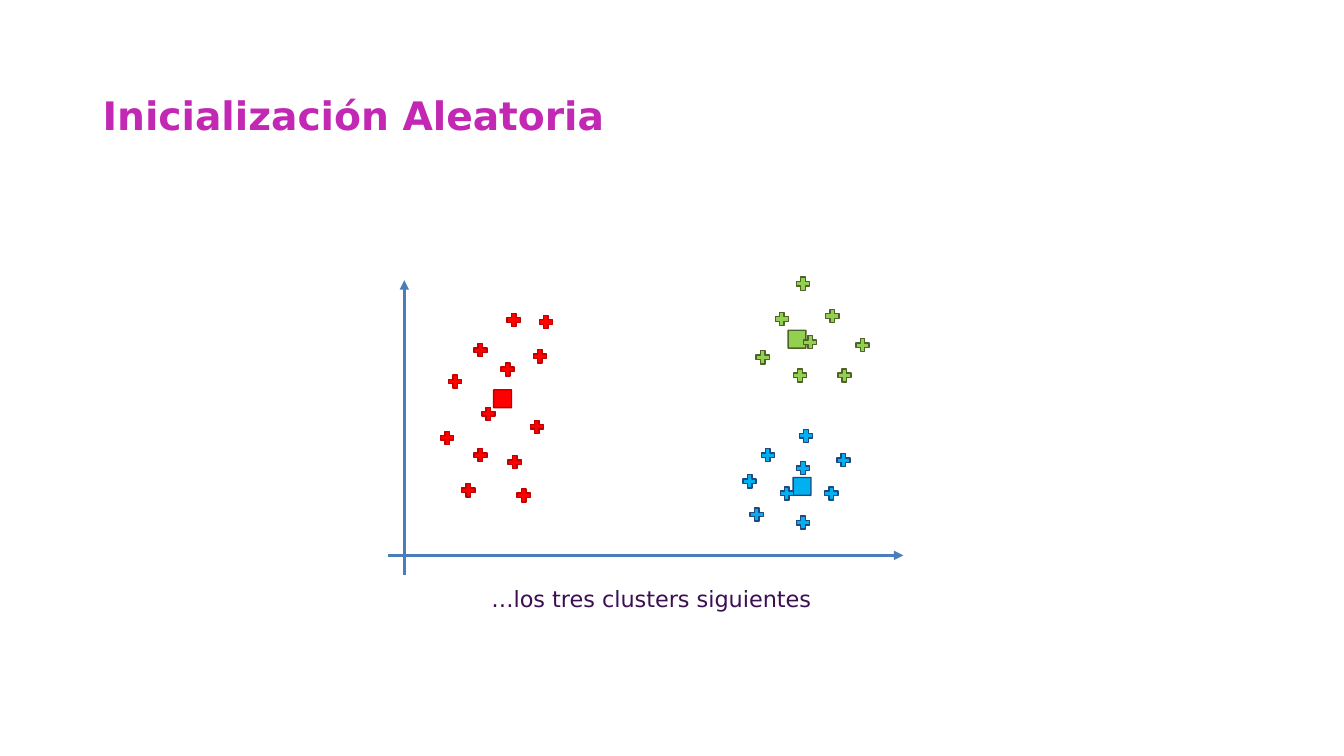
from lxml import etree
from pptx import Presentation
from pptx.dml.color import RGBColor
from pptx.enum import shapes, text
from pptx.oxml import ns
from pptx.util import Inches, Pt

FONT = "DejaVu Sans"
MAGENTA = RGBColor(0xC2, 0x28, 0xB4)
PURPLE = RGBColor(0x3C, 0x0F, 0x53)
AXIS_BLUE = RGBColor(0x4A, 0x7E, 0xBB)
RED, DARK_RED = RGBColor(0xFF, 0, 0), RGBColor(0xC0, 0, 0)
SKY, NAVY = RGBColor(0, 0xB0, 0xF0), RGBColor(0x1F, 0x49, 0x7D)
GREEN, DARK_GREEN = RGBColor(0x92, 0xD0, 0x50), RGBColor(0x4F, 0x62, 0x28)

CENTROID_SIZE = 0.25
POINT_SIZE = 0.13

# Fill, outline, centroid and data points (left, top) of each cluster
CLUSTERS = [
    (RED, DARK_RED, (4.86, 3.83), [
        (5.26, 4.17), (4.7, 4.45), (5.13, 4.85), (4.58, 4.8), (4.37, 4.28),
        (4.78, 4.04), (5.04, 4.52), (4.45, 3.72), (4.97, 3.6), (4.7, 3.41),
        (5.29, 3.47), (5.35, 3.13), (5.03, 3.11)]),
    (SKY, NAVY, (7.83, 4.7), [
        (7.37, 4.71), (7.55, 4.45), (7.74, 4.83), (7.44, 5.04), (7.9, 5.12),
        (8.18, 4.83), (7.9, 4.58), (8.3, 4.5), (7.93, 4.26)]),
    (GREEN, DARK_GREEN, (7.78, 3.24), [
        (7.9, 2.75), (8.19, 3.07), (7.69, 3.1), (7.97, 3.33), (8.49, 3.36),
        (7.87, 3.66), (8.31, 3.66), (7.5, 3.48)]),
]

deck = Presentation()
deck.slide_width, deck.slide_height = Inches(13.33), Inches(7.5)
page = deck.slides.add_slide(deck.slide_layouts[6])


def add_marker(kind, position, size, fill, outline):
    left, top = position
    marker = page.shapes.add_shape(
        kind, Inches(left), Inches(top), Inches(size), Inches(size))
    marker.shadow.inherit = False
    marker.fill.solid()
    marker.fill.fore_color.rgb = fill
    marker.line.color.rgb = outline
    marker.line.width = Pt(1)
    return marker


def add_text(words, left, top, width, height, size, color):
    box = page.shapes.add_textbox(
        Inches(left), Inches(top), Inches(width), Inches(height))
    box.text_frame.word_wrap = True
    box.text_frame.text = words
    font = box.text_frame.paragraphs[0].runs[0].font
    font.name, font.size, font.color.rgb = FONT, Pt(size), color
    return box.text_frame


title = add_text("Inicialización Aleatoria", 0.92, 0.71, 11.5, 0.91, 28, MAGENTA)
title.vertical_anchor = text.MSO_ANCHOR.MIDDLE
title.paragraphs[0].line_spacing = 0.9
title.paragraphs[0].runs[0].font.bold = True

for fill, outline, centroid, points in CLUSTERS:
    square = add_marker(
        shapes.MSO_SHAPE.DIAMOND, centroid, CENTROID_SIZE, fill, outline)
    square.rotation = 315

for start_x, start_y, end_x, end_y in [(4.01, 5.7, 4.01, 2.78),
                                       (3.85, 5.51, 8.96, 5.51)]:
    axis = page.shapes.add_connector(
        shapes.MSO_CONNECTOR.STRAIGHT,
        Inches(start_x), Inches(start_y), Inches(end_x), Inches(end_y))
    axis.line.color.rgb = AXIS_BLUE
    axis.line.width = Pt(2.25)
    etree.SubElement(axis.line._get_or_add_ln(), ns.qn("a:tailEnd"), type="triangle")
    etree.SubElement(axis._element.spPr, ns.qn("a:effectLst"))

for fill, outline, centroid, points in CLUSTERS:
    for point in points:
        cross = add_marker(
            shapes.MSO_SHAPE.CROSS, point, POINT_SIZE, fill, outline)
        cross.adjustments[0] = 0.33

caption = add_text("…los tres clusters siguientes", 4.37, 5.76, 4.18, 0.37, 16, PURPLE)
caption.margin_left = caption.margin_right = Inches(0.05)
caption.margin_top = caption.margin_bottom = Inches(0.05)
caption.auto_size = text.MSO_AUTO_SIZE.SHAPE_TO_FIT_TEXT
caption.paragraphs[0].alignment = text.PP_ALIGN.CENTER

deck.save("out.pptx")
